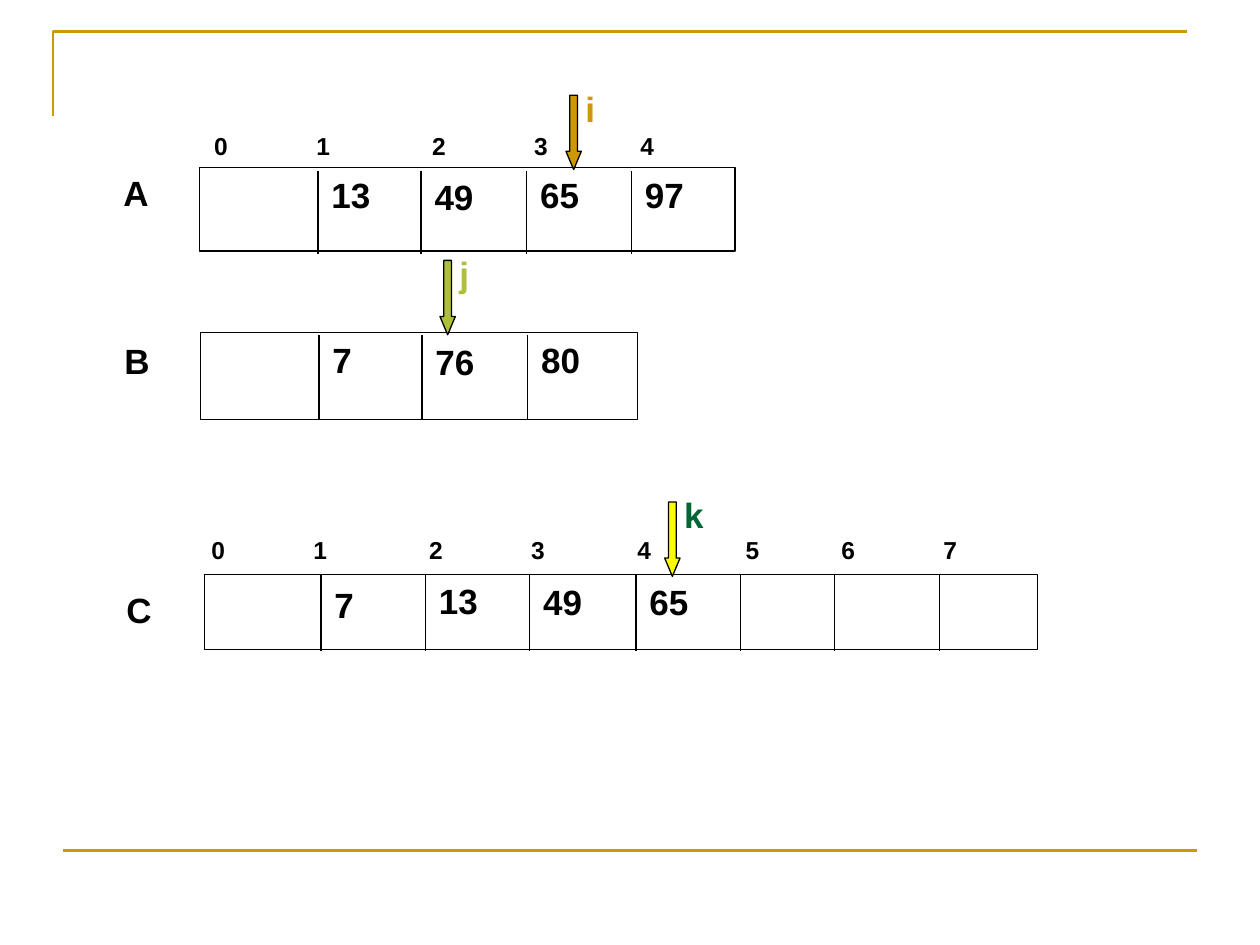
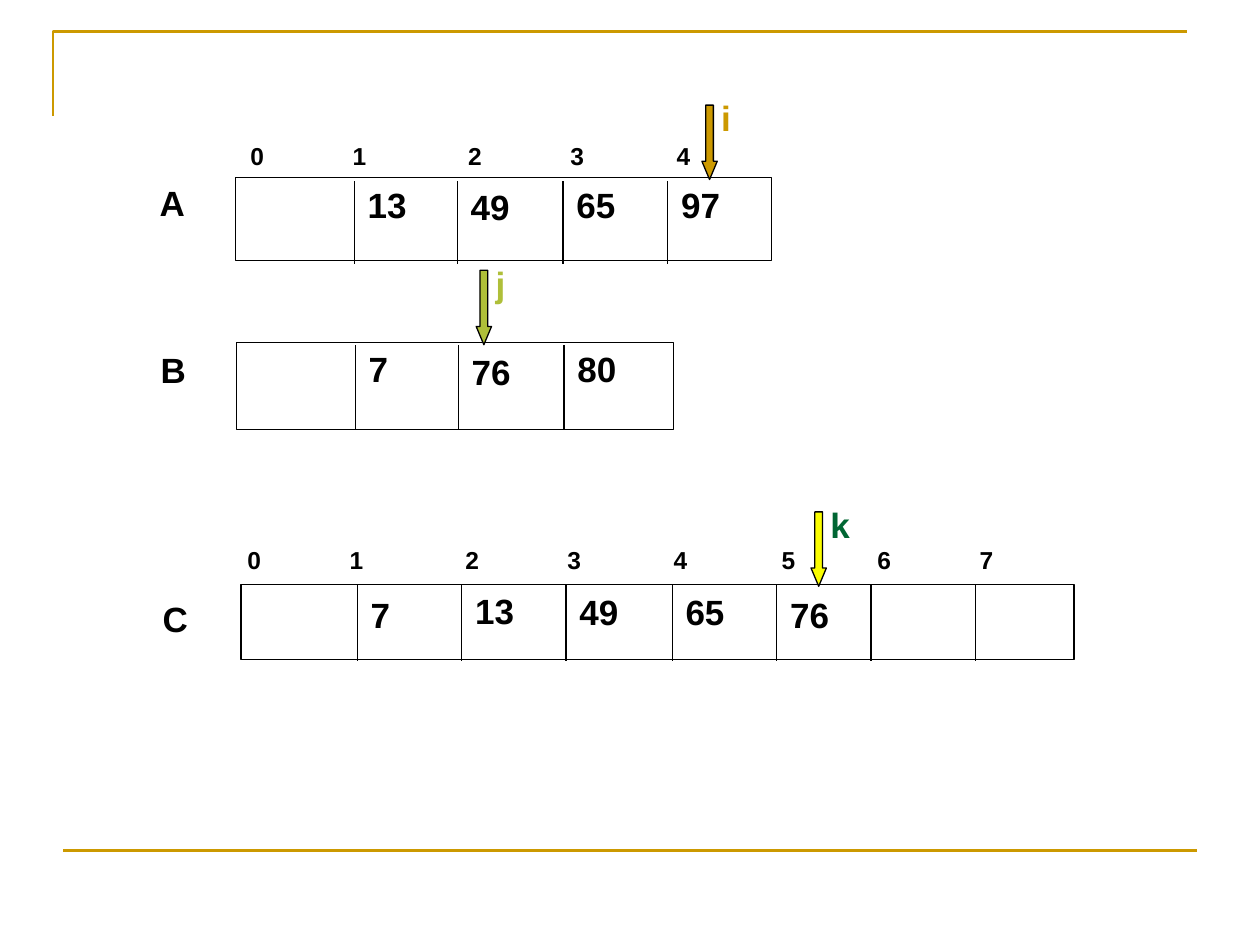
import pptx
import pptx.util
import pptx.dml.color
import pptx.enum.shapes
import pptx.enum.text
import pptx.oxml.ns
from lxml import etree

Cm, Pt = pptx.util.Cm, pptx.util.Pt
SHAPE = pptx.enum.shapes.MSO_SHAPE
GOLD, BLACK, WHITE = "CC9900", "000000", "FFFFFF"
LIME, YELLOW, GREEN = "AFBF39", "FAFD00", "006633"

# Cell borders and index tab stops, in cm from the left edge
AB_DIVIDERS = [2.39, 4.47, 6.6, 8.71]
C_DIVIDERS = [2.34, 4.45, 6.55, 8.69, 10.8, 12.7, 14.81]
INDEX_TABS = [2.06, 4.39, 6.45, 8.59, 10.77, 12.7, 14.76]


def rgb(color):
    return pptx.dml.color.RGBColor.from_string(color)


def set_line(shape, color, width):
    shape.line.color.rgb = rgb(color)
    shape.line.width = Pt(width)


def add_line(shapes, x1, y1, x2, y2, color=BLACK, width=0.75):
    line = shapes.add_connector(pptx.enum.shapes.MSO_CONNECTOR.STRAIGHT,
                                Cm(x1), Cm(y1), Cm(x2), Cm(y2))
    set_line(line, color, width)
    etree.SubElement(line._element.spPr, pptx.oxml.ns.qn("a:effectLst"))


def add_preset(shapes, kind, x, y, w, h, fill):
    sp = shapes.add_shape(kind, Cm(x), Cm(y), Cm(w), Cm(h))
    sp.shadow.inherit = False
    sp.fill.solid()
    sp.fill.fore_color.rgb = rgb(fill)
    set_line(sp, BLACK, 0.75)
    return sp


def add_text(shapes, text, x, y, w=1.7, h=1.12, size=20, color=BLACK, tabs=()):
    tf = shapes.add_textbox(Cm(x), Cm(y), Cm(w), Cm(h)).text_frame
    tf.word_wrap = True
    tf.auto_size = pptx.enum.text.MSO_AUTO_SIZE.SHAPE_TO_FIT_TEXT
    p = tf.paragraphs[0]
    p.text = text
    if tabs:
        tab_list = etree.SubElement(p._p.get_or_add_pPr(), pptx.oxml.ns.qn("a:tabLst"))
        for pos in tabs:
            etree.SubElement(tab_list, pptx.oxml.ns.qn("a:tab"), pos=str(Cm(pos)), algn="l")
    p.font.name, p.font.size, p.font.bold = "Arial", Pt(size), True
    p.font.color.rgb = rgb(color)


def add_frame(s):
    """Corner rule at the top and straight rule at the bottom."""
    builder = s.shapes.build_freeform(Cm(1.07), Cm(2.33))
    builder.add_line_segments([(Cm(1.07), Cm(0.63)), (Cm(23.93), Cm(0.63))], close=False)
    corner = builder.convert_to_shape()
    corner.shadow.inherit = False
    corner.fill.background()
    set_line(corner, GOLD, 1.5)
    add_line(s.shapes, 1.27, 17.15, 24.13, 17.15, GOLD, 1.5)


def add_array(s, box, name, name_at, dividers, divider_y, values, nudges):
    """A row of cells; each value starts at its divider, after the empty cell 0."""
    x, y, w, h = box
    add_preset(s.shapes, SHAPE.RECTANGLE, x, y, w, h, WHITE)
    top, bottom = divider_y
    for dx in dividers:
        add_line(s.shapes, x + dx, y + top, x + dx, y + bottom)
    for value, dx, dy in zip(values, dividers, nudges):
        add_text(s.shapes, value, x + dx + 0.02, y + dy)
    add_text(s.shapes, name, x + name_at[0], y + name_at[1])


def add_indices(s, x, y, w, count):
    """Cell numbers above an array, set on tab stops."""
    add_text(s.shapes, "\t".join(map(str, range(count))), x, y, w, 0.86, 14,
             tabs=INDEX_TABS[:count - 1])


def add_pointer(s, name, x, array_y, fill, color):
    """Arrow touching the top of an array, with its variable name."""
    shapes = s.shapes.add_group_shape().shapes
    y = array_y - 1.46
    arrow = add_preset(shapes, SHAPE.DOWN_ARROW, x, y, 0.31, 1.5, fill)
    arrow.adjustments[1] = 1.19
    add_text(shapes, name, x + 0.14, y - 0.29, w=1.35, color=color)


def add_merge_step(prs, x, y, c_values, i_x, k_x):
    """Arrays A, B and C with pointers; x, y is the corner of array A."""
    s = prs.slides.add_slide(prs.slide_layouts[6])
    add_frame(s)

    # Array A
    add_indices(s, x + 0.05, y - 0.86, 10.8, 5)
    add_array(s, (x, y, 10.8, 1.68), "A", (-1.78, -0.05), AB_DIVIDERS, (0.07, 1.75),
              ["13", "49", "65", "97"], [0, 0.03, 0, 0])
    add_pointer(s, "i", x + i_x, y, GOLD, GOLD)

    # Array B
    b_x, b_y = x + 0.02, y + 3.33
    add_array(s, (b_x, b_y, 8.81, 1.75), "B", (-1.78, 0), AB_DIVIDERS[:3], (0.05, 1.73),
              ["7", "76", "80"], [-0.02, 0.03, -0.02])
    add_pointer(s, "j", b_x + 4.83, b_y, LIME, LIME)

    # Array C
    c_x, c_y = x + 0.11, y + 8.2
    add_indices(s, c_x - 0.12, c_y - 0.91, 16.92, 8)
    add_array(s, (c_x, c_y, 16.79, 1.52), "C", (-1.83, 0.15), C_DIVIDERS, (0, 1.55),
              c_values, [0.05, -0.03, 0, 0, 0.05])
    add_pointer(s, "k", c_x + k_x, c_y, YELLOW, GREEN)


def main():
    prs = pptx.Presentation()
    prs.slide_width, prs.slide_height = Cm(25.4), Cm(19.05)
    merged = ["7", "13", "49", "65", "76"]
    add_merge_step(prs, 4.02, 3.38, merged[:4], i_x=7.39, k_x=9.27)
    add_merge_step(prs, 4.75, 3.58, merged, i_x=9.4, k_x=11.49)
    prs.save("out.pptx")


if __name__ == "__main__":
    main()
